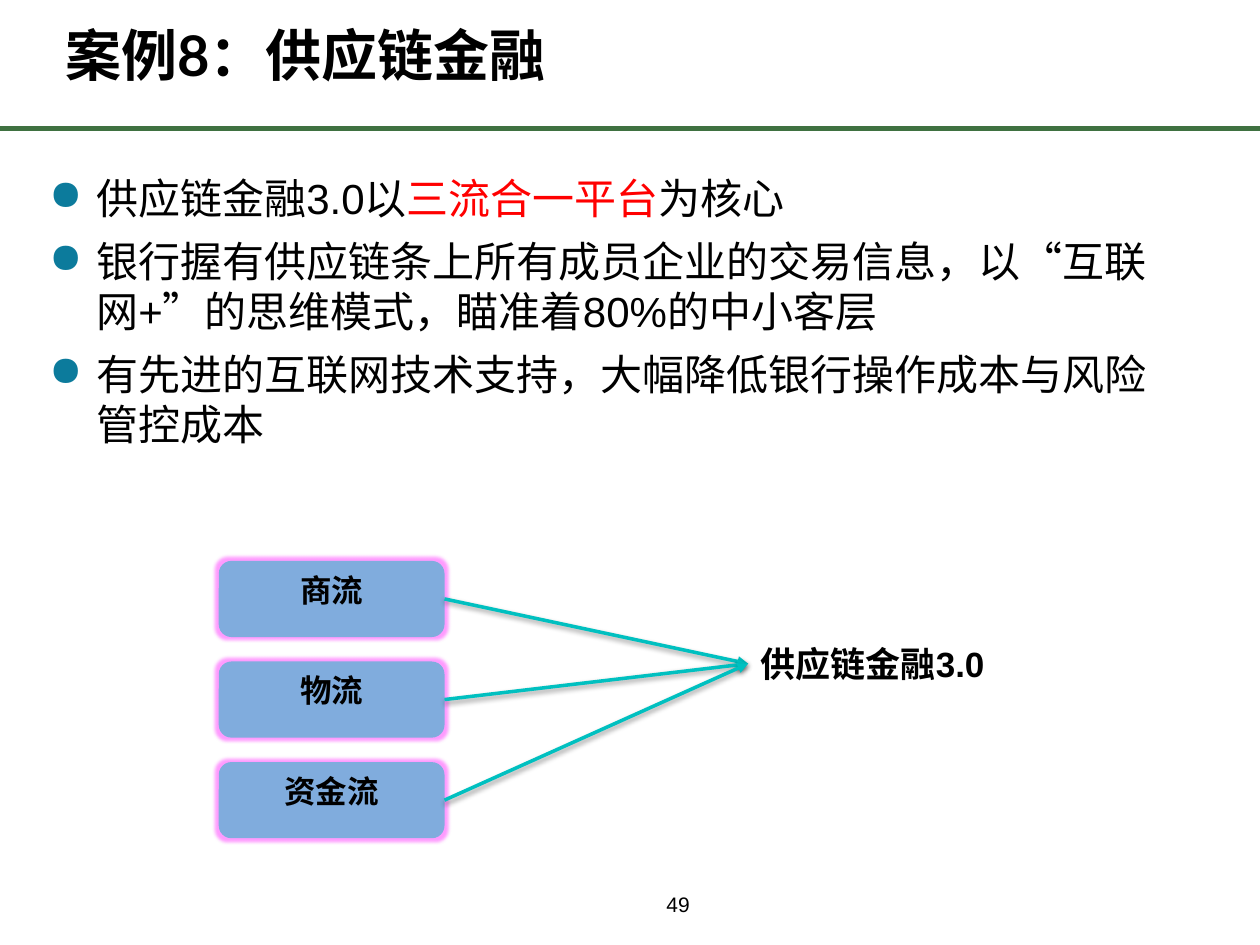
"""Build the supply chain finance case slide."""
from lxml.etree import SubElement
from pptx import Presentation
from pptx.dml.color import RGBColor
from pptx.enum.shapes import MSO_CONNECTOR, MSO_SHAPE
from pptx.enum.text import MSO_ANCHOR, PP_ALIGN
from pptx.oxml.ns import qn
from pptx.util import Pt

COLORS = {
    "text": "000000", "accent": "FF0000", "bullet": "0C7B9C", "rule": "3F7141",
    "box": "80ACDD", "glow": "FF66FF", "arrow": "00C0C0", "shadow": "000000",
}
TITLE = "案例8：供应链金融"
BULLETS = [
    [("供应链金融3.0以", "text"), ("三流合一平台", "accent"), ("为核心", "text")],
    [("银行握有供应链条上所有成员企业的交易信息，以“互联网+”的思维模式，瞄准着80%的中小客层", "text")],
    [("有先进的互联网技术支持，大幅降低银行操作成本与风险管控成本", "text")],
]
FLOWS = ["商流", "物流", "资金流"]


def rgb(key):
    return RGBColor.from_string(COLORS[key])


def set_attrs(obj, values):
    for name, value in values.items():
        setattr(obj, name, value)


def add_node(parent, tag, **attrs):
    return SubElement(parent, qn(tag), {k: str(v) for k, v in attrs.items()})


def add_color(parent, key, alpha):
    clr = add_node(parent, "a:srgbClr", val=COLORS[key])
    add_node(clr, "a:alpha", val=alpha * 1000)


def add_run(p, text, size, color="text", name="Arial", bold=False):
    r = p.add_run()
    r.text = text
    set_attrs(r.font, {"size": Pt(size), "bold": bold, "name": name})
    r.font.color.rgb = rgb(color)


def place(sp, box):
    set_attrs(sp, dict(zip(("left", "top", "width", "height"), map(Pt, box))))


def add_title(slide):
    sp = slide.shapes.title
    place(sp, (30, 12, 652, 42))
    tf = sp.text_frame
    set_attrs(tf, {"vertical_anchor": MSO_ANCHOR.BOTTOM, "word_wrap": True})
    p = tf.paragraphs[0]
    set_attrs(p, {"alignment": PP_ALIGN.LEFT, "line_spacing": Pt(36)})
    add_run(p, TITLE, 32, name="Lato", bold=True)


def add_text(slide, box):
    sp = slide.shapes.add_textbox(*map(Pt, box))
    sp.text_frame.word_wrap = True
    return sp


def add_bullets(slide):
    tf = add_text(slide, (21, 95, 655, 408)).text_frame
    for i, parts in enumerate(BULLETS):
        p = tf.add_paragraph() if i else tf.paragraphs[0]
        pPr = p._p.get_or_add_pPr()
        set_attrs(p, {"space_before": Pt(3 if i else 0), "space_after": Pt(4)})
        pPr.set("marL", str(Pt(27)))
        pPr.set("indent", str(-Pt(27)))
        add_node(add_node(pPr, "a:buClr"), "a:srgbClr", val=COLORS["bullet"])
        add_node(pPr, "a:buChar", char="●")
        for text, color in parts:
            add_run(p, text, 24, color)


def add_flow(slide, text, top):
    sp = slide.shapes.add_shape(MSO_SHAPE.ROUNDED_RECTANGLE, *map(Pt, (125, top, 129, 43.5)))
    sp.shadow.inherit = False
    sp.fill.solid()
    sp.fill.fore_color.rgb = rgb("box")
    sp.line.fill.background()
    effects = sp._element.spPr.find(qn("a:effectLst"))
    add_color(add_node(effects, "a:glow", rad=Pt(4)), "glow", 65)
    tf = sp.text_frame
    tf.vertical_anchor = MSO_ANCHOR.TOP
    p = tf.paragraphs[0]
    p.alignment = PP_ALIGN.CENTER
    add_run(p, text, 18, bold=True)
    return sp


def add_line(slide, color, width, ends=(0, 0, 0, 0)):
    ln = slide.shapes.add_connector(MSO_CONNECTOR.STRAIGHT, *map(Pt, ends))
    ln.line.color.rgb = rgb(color)
    ln.line.width = Pt(width)
    return ln, add_node(ln._element.spPr, "a:effectLst")


def add_arrow(slide, start, end):
    ln, effects = add_line(slide, "arrow", 2)
    ln.begin_connect(start, 3)
    ln.end_connect(end, 1)
    add_node(ln.line._get_or_add_ln(), "a:tailEnd", type="triangle")
    shadow = add_node(effects, "a:outerShdw", blurRad=Pt(3.1), dist=Pt(1.6),
                      dir=90 * 60000, rotWithShape=0)
    add_color(shadow, "shadow", 38)


def add_page_number(slide):
    tf = add_text(slide, (360, 504, 55, 20)).text_frame
    sides = ("left", "top", "right", "bottom")
    set_attrs(tf, {f"margin_{side}": 0 for side in sides})
    tf.vertical_anchor = MSO_ANCHOR.BOTTOM
    p = tf.paragraphs[0]
    set_attrs(p, {"alignment": PP_ALIGN.CENTER, "line_spacing": Pt(20)})
    add_run(p, "49", 12)


def main():
    prs = Presentation()
    set_attrs(prs, {"slide_width": Pt(720), "slide_height": Pt(540)})
    slide = prs.slides.add_slide(prs.slide_layouts[5])
    add_line(slide, "rule", 3, (0, 73.5, 720, 73.5))
    add_title(slide)
    add_bullets(slide)
    flows = [add_flow(slide, text, 320.5 + 57.5 * i) for i, text in enumerate(FLOWS)]
    result = add_text(slide, (427.5, 363.5, 216, 31.5))
    add_run(result.text_frame.paragraphs[0], "供应链金融3.0", 20, bold=True)
    for flow in flows:
        add_arrow(slide, flow, result)
    add_page_number(slide)
    prs.save("out.pptx")


if __name__ == "__main__":
    main()
